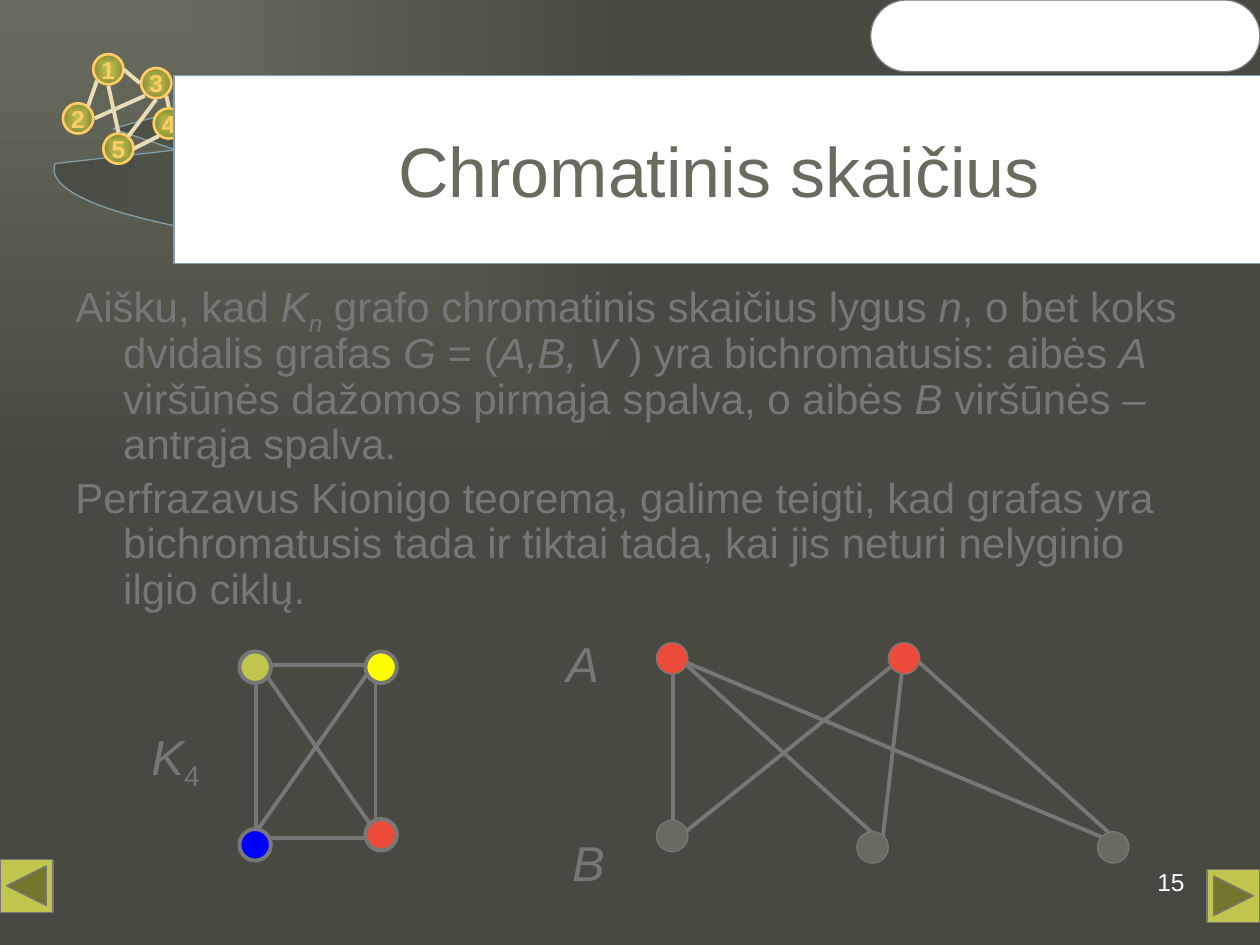
from lxml import etree
from pptx import Presentation
from pptx.dml.color import RGBColor
from pptx.enum import shapes, text
from pptx.oxml import parse_xml
from pptx.oxml.ns import nsdecls, qn
from pptx.util import Inches, Pt

KIND = shapes.MSO_SHAPE
ALIGN = text.PP_ALIGN
MID = text.MSO_ANCHOR.MIDDLE
GREY, OLIVE, GOLD, RED = "777777", "C2C54D", "FFCC66", "EC4B3A"
MOSS, DARK, TEAL, WHITE = "686B5D", "4A4D43", "809EA8", "FFFFFF"
DOT = 0.25
BALL = 0.24


def hue(code):
    return RGBColor.from_string(code)


def put(item, **vals):
    for name, val in vals.items():
        setattr(item, name, val)


def shade(fill, root, stops, way):
    """Give a gradient fill; stops are (percent, colour), way is the direction XML."""
    fill.gradient()
    marks = "".join(f'<a:gs pos="{at * 1000}"><a:srgbClr val="{code}"/></a:gs>'
                    for at, code in stops)
    old = root.find(".//" + qn("a:gradFill"))
    new = parse_xml(f'<a:gradFill {nsdecls("a")} rotWithShape="1">'
                    f'<a:gsLst>{marks}</a:gsLst>{way}</a:gradFill>')
    old.getparent().replace(old, new)


def ink(line, code, width):
    line.color.rgb = hue(code)
    line.width = Pt(width)


def form(box, kind, area, fill, line=GREY, width=0.75, adj=()):
    item = box.add_shape(kind, *map(Inches, area))
    item.shadow.inherit = False
    for i, val in enumerate(adj):
        item.adjustments[i] = val
    if fill:
        item.fill.solid()
        item.fill.fore_color.rgb = hue(fill)
    ink(item.line, line, width)
    return item


def edge(box, ends, code=GREY, oval=False):
    item = box.add_connector(shapes.MSO_CONNECTOR.STRAIGHT, *map(Inches, ends))
    ink(item.line, code, 2.25)
    props = item.element.spPr
    if oval:
        for tag in ("a:headEnd", "a:tailEnd"):
            etree.SubElement(props.find(qn("a:ln")), qn(tag), type="oval")
    etree.SubElement(props, qn("a:effectLst"))


def bend(box, points):
    start, *rest = [tuple(map(Inches, p)) for p in points]
    path = box.build_freeform(*start)
    path.add_line_segments(rest, close=False)
    item = path.convert_to_shape()
    item.shadow.inherit = False
    item.fill.background()
    ink(item.line, GREY, 2.25)


def write(para, runs, size, code, bold=False):
    """Add runs of (words, style): i is italic, a number is a baseline shift."""
    for words, *style in runs:
        run = para.add_run()
        run.text = words
        put(run.font, name="Arial", size=Pt(size), bold=bold, italic="i" in style)
        run.font.color.rgb = hue(code)
        for shift in style:
            if shift != "i":
                run.font._element.set("baseline", str(shift * 1000))


def label(box, area, runs, size, code, align=ALIGN.CENTER, top=0.1):
    frame = box.add_textbox(*map(Inches, area)).text_frame
    put(frame, word_wrap=True, margin_top=Inches(top))
    frame.paragraphs[0].alignment = align
    write(frame.paragraphs[0], runs, size, code)


def emblem(box):
    cap = form(box, KIND.OVAL_CALLOUT, (0.43, 0.6, 9.57, 1.49), None, TEAL,
               adj=(-0.399, -0.104))
    shade(cap.fill, cap.element, [(0, DARK), (50, MOSS), (100, DARK)],
          '<a:lin ang="0" scaled="1"/>')
    spots = [(0.74, 0.43), (0.5, 0.82), (1.12, 0.54), (1.22, 0.86), (0.82, 1.06)]
    for num, (x, y) in enumerate(spots, 1):
        ball = form(box, KIND.OVAL, (x, y, BALL, BALL), None, GOLD, 1.5)
        shade(ball.fill, ball.element, [(0, OLIVE), (100, "8B8D37")],
              '<a:path path="shape"><a:fillToRect l="50000" t="50000" '
              'r="50000" b="50000"/></a:path>')
        put(ball.text_frame, word_wrap=False, vertical_anchor=MID)
        para = ball.text_frame.paragraphs[0]
        para.alignment = ALIGN.CENTER
        write(para, [(str(num),)], 14, GOLD, bold=True)
    for ends in [(0.7, 0.84, 0.77, 0.64), (0.98, 0.55, 1.11, 0.66),
                 (0.94, 1.05, 0.86, 0.68), (1.02, 1.08, 1.24, 0.79),
                 (0.75, 0.94, 1.15, 0.76), (1.34, 0.85, 1.32, 0.76),
                 (1.06, 1.18, 1.26, 1.08)]:
        edge(box, ends, "E9DCB9")


def title(box):
    item = form(box, KIND.RECTANGLE, (1.38, 0.6, 8.65, 1.49), WHITE, TEAL)
    put(item.text_frame, word_wrap=True, vertical_anchor=MID)
    para = item.text_frame.paragraphs[0]
    para.alignment = ALIGN.CENTER
    write(para, [("Chromatinis skaičius",)], 40, MOSS)


def body(box):
    paras = [
        [("Aišku, kad ",), ("K", "i"), ("n", "i", -25),
         (" grafo chromatinis skaičius lygus ",), ("n", "i"),
         (", o bet koks dvidalis grafas ",), ("G", "i"), (" = (",),
         ("A,B, V", "i"), (" ) yra bichromatusis: aibės ",), ("A", "i"),
         (" viršūnės dažomos pirmąja spalva, o aibės ",), ("B", "i"),
         (" viršūnės – antrąja spalva.",)],
        [("Perfrazavus Kionigo teoremą, galime teigti, kad grafas yra "
          "bichromatusis tada ir tiktai tada, kai jis neturi nelyginio "
          "ilgio ciklų.",)],
    ]
    frame = box.add_textbox(*map(Inches, (0.5, 2.18, 9, 2.62))).text_frame
    frame.word_wrap = True
    for i, runs in enumerate(paras):
        para = frame.add_paragraph() if i else frame.paragraphs[0]
        put(para, line_spacing=0.9, space_before=Pt(5))
        props = para._p.get_or_add_pPr()
        props.set("marL", str(Inches(0.38)))
        props.set("indent", str(Inches(-0.38)))
        write(para, runs, 24, GREY)


def full(box):
    edge(box, (2.03, 5.3, 2.03, 6.67))
    for ends in [(2.98, 5.25, 2.98, 6.58), (2.05, 5.27, 3, 6.63),
                 (2.97, 5.27, 2, 6.65), (2.02, 6.65, 3, 6.65),
                 (2.03, 5.28, 2.97, 5.28)]:
        edge(box, ends, oval=True)
    for x, y, code in [(1.9, 5.17, OLIVE), (1.9, 6.58, "0000FF"),
                       (2.9, 5.17, "FFFF00"), (2.9, 6.5, RED)]:
        form(box, KIND.OVAL, (x, y, DOT, DOT), code, width=2.25)
    label(box, (0.98, 5.67, 0.83, 0.57), [("K", "i"), ("4", -22)], 28, GREY)


def split(box):
    bend(box, [(5.21, 5.21), (5.38, 5.23), (8.88, 6.7)])
    for ends in [(5.34, 5.26, 5.34, 6.68), (7.21, 5.18, 5.38, 6.65),
                 (5.34, 5.18, 7, 6.68), (7.21, 5.18, 8.88, 6.68),
                 (7.17, 5.23, 7, 6.7)]:
        edge(box, ends)
    for x, y, code in [(7.05, 5.1, RED), (5.21, 5.1, RED), (8.71, 6.6, MOSS),
                       (5.21, 6.51, MOSS), (6.8, 6.6, MOSS)]:
        form(box, KIND.OVAL, (x, y, DOT, DOT), code)
    label(box, (4.21, 4.93, 0.83, 0.57), [("A", "i")], 28, GREY)
    label(box, (4.38, 6.51, 0.58, 0.57), [("B", "i")], 28, GREY)


def main():
    deck = Presentation()
    put(deck, slide_width=Inches(10), slide_height=Inches(7.5))
    slide = deck.slides.add_slide(deck.slide_layouts[6])
    box = slide.shapes

    # Background glow from the top left corner
    shade(slide.background.fill, slide.element, [(0, MOSS), (100, "484940")],
          '<a:path path="rect"><a:fillToRect r="100000" b="100000"/></a:path>')

    # Emblem, navigation and page number
    emblem(box)
    form(box, KIND.ACTION_BUTTON_FORWARD_OR_NEXT, (9.58, 6.9, 0.42, 0.42), OLIVE)
    form(box, KIND.ACTION_BUTTON_BACK_OR_PREVIOUS, (0, 6.82, 0.42, 0.42), OLIVE)
    form(box, KIND.ROUNDED_RECTANGLE, (6.91, 0, 3.09, 0.57), WHITE, adj=(0.5,))
    label(box, (8.86, 6.83, 0.64, 0.52), [("15",)], 14, WHITE, ALIGN.RIGHT, 0.05)

    # Words
    title(box)
    body(box)

    # Complete graph and bipartite graph
    for draw in (full, split):
        draw(box.add_group_shape().shapes)

    deck.save("out.pptx")


if __name__ == "__main__":
    main()
